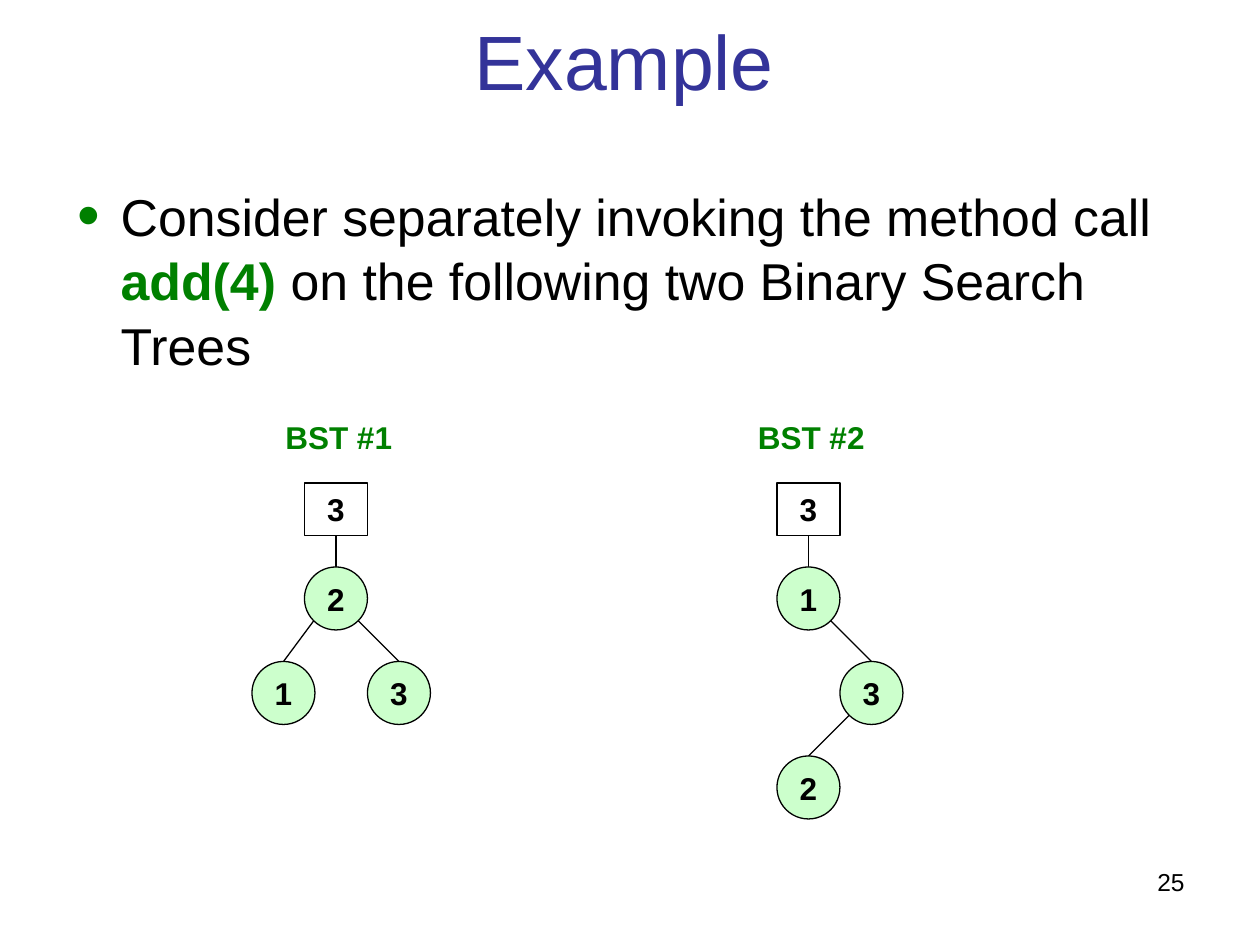
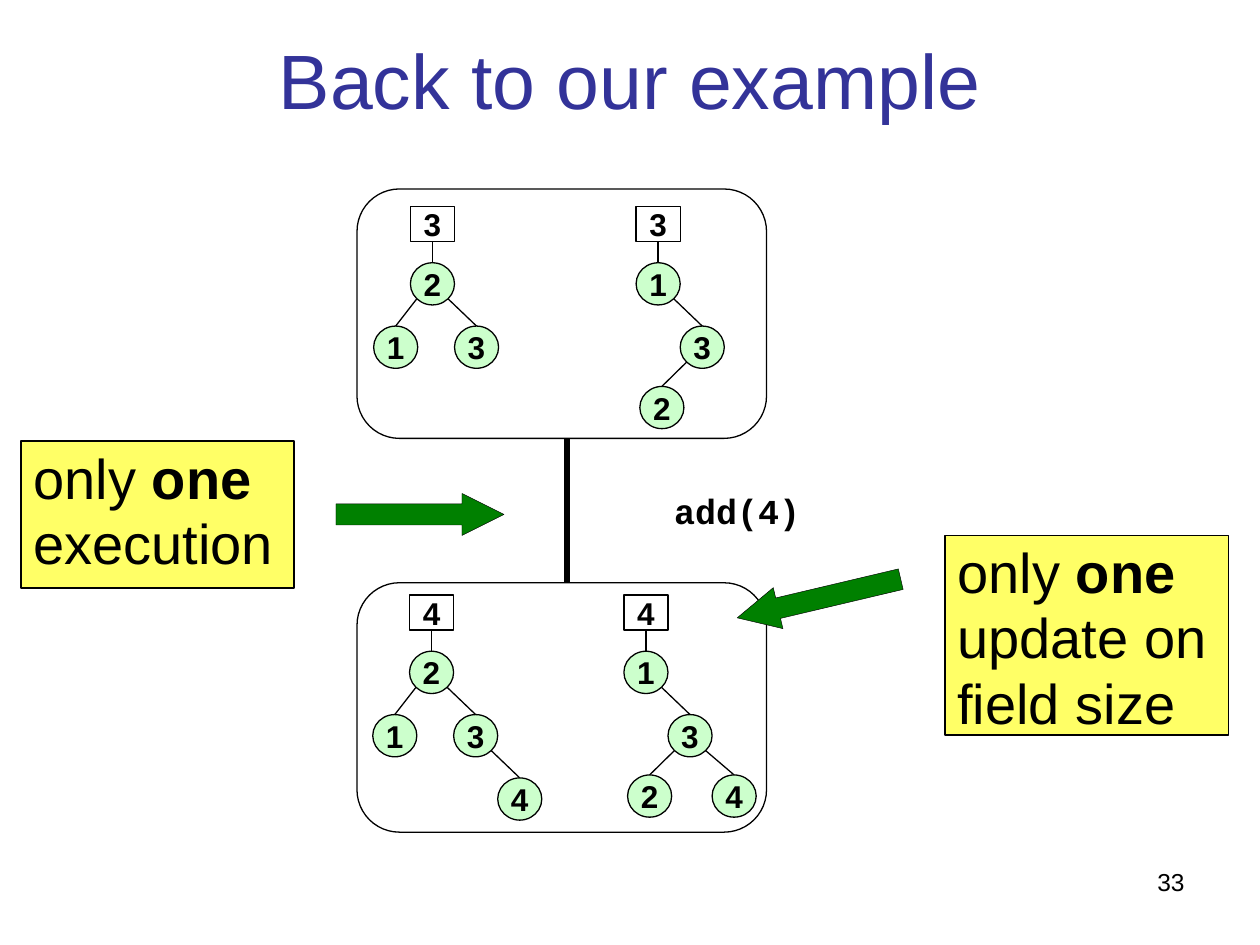
from lxml import etree
from pptx import Presentation
from pptx.dml.color import RGBColor
from pptx.enum import shapes, text
from pptx.oxml import ns
from pptx.util import Pt

BLACK = RGBColor(0x00, 0x00, 0x00)
TITLE_BLUE = RGBColor(0x33, 0x33, 0x99)
GREEN = RGBColor(0x00, 0x80, 0x00)
NODE_GREEN = RGBColor(0xCC, 0xFF, 0xCC)
NOTE_YELLOW = RGBColor(0xFF, 0xFF, 0x66)

SHAPE = shapes.MSO_SHAPE
STRAIGHT = shapes.MSO_CONNECTOR.STRAIGHT
LEFT, CENTER, RIGHT = text.PP_ALIGN.LEFT, text.PP_ALIGN.CENTER, text.PP_ALIGN.RIGHT
TOP, MIDDLE = text.MSO_ANCHOR.TOP, text.MSO_ANCHOR.MIDDLE

# Nodes below the size box: label, index of parent, x and y from the box
BST_1 = [("2", None, 0, 48), ("1", 0, -30, 102), ("3", 0, 36, 102)]
BST_2 = [("1", None, 0, 48), ("3", 0, 36, 102), ("2", 1, 0, 156)]
BST_2_TIGHT = BST_2[:2] + [("2", 1, 3, 153.5)]
BST_1_ADDED = BST_1 + [("4", 2, 72, 156)]
BST_2_ADDED = BST_2_TIGHT + [("4", 1, 72, 153.5)]


def write(sp, runs, size, align=LEFT, anchor=TOP, wrap=True, font="Arial"):
    """Fill a shape with one paragraph of (text, colour, bold) runs."""
    tf = sp.text_frame
    tf.auto_size = text.MSO_AUTO_SIZE.NONE
    tf.word_wrap = wrap
    tf.vertical_anchor = anchor
    tf.margin_left = tf.margin_right = Pt(7.2)
    tf.margin_top = tf.margin_bottom = Pt(3.6)
    p = tf.paragraphs[0]
    p.alignment = align
    for words, colour, bold in runs:
        r = p.add_run()
        r.text = words
        r.font.name, r.font.size, r.font.bold = font, Pt(size), bold
        r.font.color.rgb = colour
    return p


def draw_tree(s, left, top, size, nodes, sx=1, sy=1):
    """Draw a size box with its search tree, scaled by sx and sy."""
    node_w, node_h, box_h = 36 * sx, 36 * sy, 30 * sy
    places = [(left + x * sx, top + y * sy) for _, _, x, y in nodes]
    for (_, parent, _, _), (x, y) in zip(nodes, places):
        end_x = x + node_w / 2
        if parent is None:
            start_x, start_y = end_x, top + box_h
        else:
            px, py = places[parent]
            side = -1 if x < px else 1
            start_x = px + node_w * (0.5 + side * 0.35)
            start_y = py + node_h * 0.85
        edge = s.shapes.add_connector(STRAIGHT, Pt(start_x), Pt(start_y), Pt(end_x), Pt(y))
        edge.line.width = Pt(0.75)
    box = s.shapes.add_shape(SHAPE.RECTANGLE, Pt(left), Pt(top), Pt(node_w), Pt(box_h))
    box.fill.background()
    write(box, [(size, BLACK, True)], 18, CENTER, MIDDLE, wrap=False)
    for (label, _, _, _), (x, y) in zip(nodes, places):
        node = s.shapes.add_shape(SHAPE.OVAL, Pt(x), Pt(y), Pt(node_w), Pt(node_h))
        node.fill.solid()
        node.fill.fore_color.rgb = NODE_GREEN
        write(node, [(label, BLACK, True)], 18, CENTER, MIDDLE, wrap=False)


prs = Presentation()
prs.slide_width, prs.slide_height = Pt(720), Pt(540)

# Titles and slide numbers
for title, number, (x, y, w, h) in [
    ("Example", "25", (11.5, 5, 690.5, 58.5)),
    ("Back to our example", "33", (0, 0, 720, 90)),
]:
    s = prs.slides.add_slide(prs.slide_layouts[5])
    sp = s.shapes.title
    sp.left, sp.top, sp.width, sp.height = Pt(x), Pt(y), Pt(w), Pt(h)
    write(sp, [(title, TITLE_BLUE, False)], 44, CENTER, MIDDLE)
    sp = s.shapes.add_textbox(Pt(516), Pt(492), Pt(168), Pt(37.5))
    write(sp, [(number, BLACK, False)], 14, RIGHT)
example, result = prs.slides

# Slide 1: bullet
sp = example.shapes.add_textbox(Pt(36), Pt(104), Pt(648), Pt(114.5))
p = write(sp, [
    ("Consider separately invoking the method call ", BLACK, False),
    ("add(4)", GREEN, True),
    (" on the following two Binary Search Trees", BLACK, False),
], 29.6)
tf = sp.text_frame
tf.margin_left = tf.margin_right = tf.margin_top = tf.margin_bottom = 0
p.line_spacing = 1.04
pPr = p._p.get_or_add_pPr()
pPr.set("marL", str(Pt(33)))
pPr.set("indent", str(Pt(-24.5)))
colour = etree.SubElement(pPr, ns.qn("a:buClr"))
etree.SubElement(colour, ns.qn("a:srgbClr"), val=str(GREEN))
etree.SubElement(pPr, ns.qn("a:buSzPct"), val="125000")
etree.SubElement(pPr, ns.qn("a:buFont"), typeface="Arial")
etree.SubElement(pPr, ns.qn("a:buChar"), char="•")

# Slide 1: the two trees with their names
for name, x, nodes in [("BST #1", 174, BST_1), ("BST #2", 444, BST_2)]:
    sp = example.shapes.add_textbox(Pt(x - 18), Pt(235.5), Pt(102), Pt(29))
    write(sp, [(name, GREEN, True)], 18)
    draw_tree(example, x, 276, "3", nodes)

# Slide 2: states before and after the call
for panel_top, tree_top, size, trees in [
    (108, 118, "3", [(234.5, BST_1), (363.5, BST_2_TIGHT)]),
    (333, 340, "4", [(234, BST_1_ADDED), (356.5, BST_2_ADDED)]),
]:
    panel = result.shapes.add_shape(
        SHAPE.ROUNDED_RECTANGLE, Pt(204), Pt(panel_top), Pt(234), Pt(142.5))
    panel.adjustments[0] = 0.17
    panel.fill.background()
    for x, nodes in trees:
        draw_tree(result, x, tree_top, size, nodes, sx=0.7, sy=0.67)

# Slide 2: the call between the states
call = result.shapes.add_connector(STRAIGHT, Pt(324), Pt(250.5), Pt(324), Pt(333))
call.line.width = Pt(3)
sp = result.shapes.add_textbox(Pt(378), Pt(276), Pt(86.5), Pt(31.5))
write(sp, [("add(4)", BLACK, True)], 20, CENTER, wrap=False, font="Courier New")

# Slide 2: notes and their arrows
for ending, (x, y, w, h), (arrow_x, arrow_y, angle) in [
    (" execution", (12, 252, 156, 84), (192, 282, 0)),
    (" update on field size", (540, 306, 162, 114), (420, 330, 166.7)),
]:
    note = result.shapes.add_shape(SHAPE.RECTANGLE, Pt(x), Pt(y), Pt(w), Pt(h))
    note.fill.solid()
    note.fill.fore_color.rgb = NOTE_YELLOW
    p = write(note, [("only ", BLACK, False), ("one", BLACK, True), (ending, BLACK, False)], 32)
    p.line_spacing = 0.97
    arrow = result.shapes.add_shape(
        SHAPE.RIGHT_ARROW, Pt(arrow_x), Pt(arrow_y), Pt(96), Pt(24))
    arrow.adjustments[0], arrow.adjustments[1] = 0.5, 1
    arrow.rotation = angle
    arrow.fill.solid()
    arrow.fill.fore_color.rgb = GREEN
    arrow.line.width = Pt(0.25)

# Black outlines without shadows
for s in prs.slides:
    for sp in s.shapes:
        if sp.shape_type == shapes.MSO_SHAPE_TYPE.LINE:
            sp.line.color.rgb = BLACK
            etree.SubElement(sp._element.spPr, ns.qn("a:effectLst"))
        elif sp.shape_type == shapes.MSO_SHAPE_TYPE.AUTO_SHAPE:
            sp.line.color.rgb = BLACK
            if not sp.line.width:
                sp.line.width = Pt(0.75)
            sp.shadow.inherit = False

prs.save("out.pptx")
